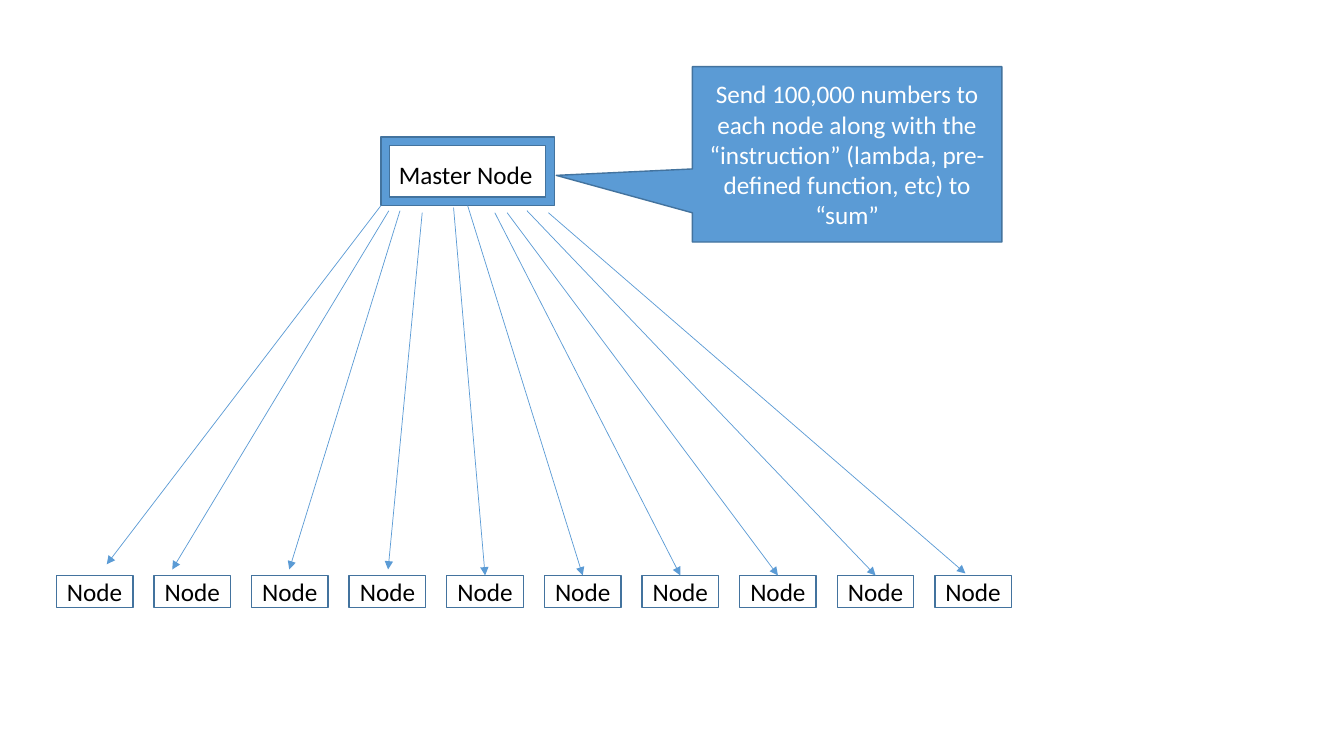
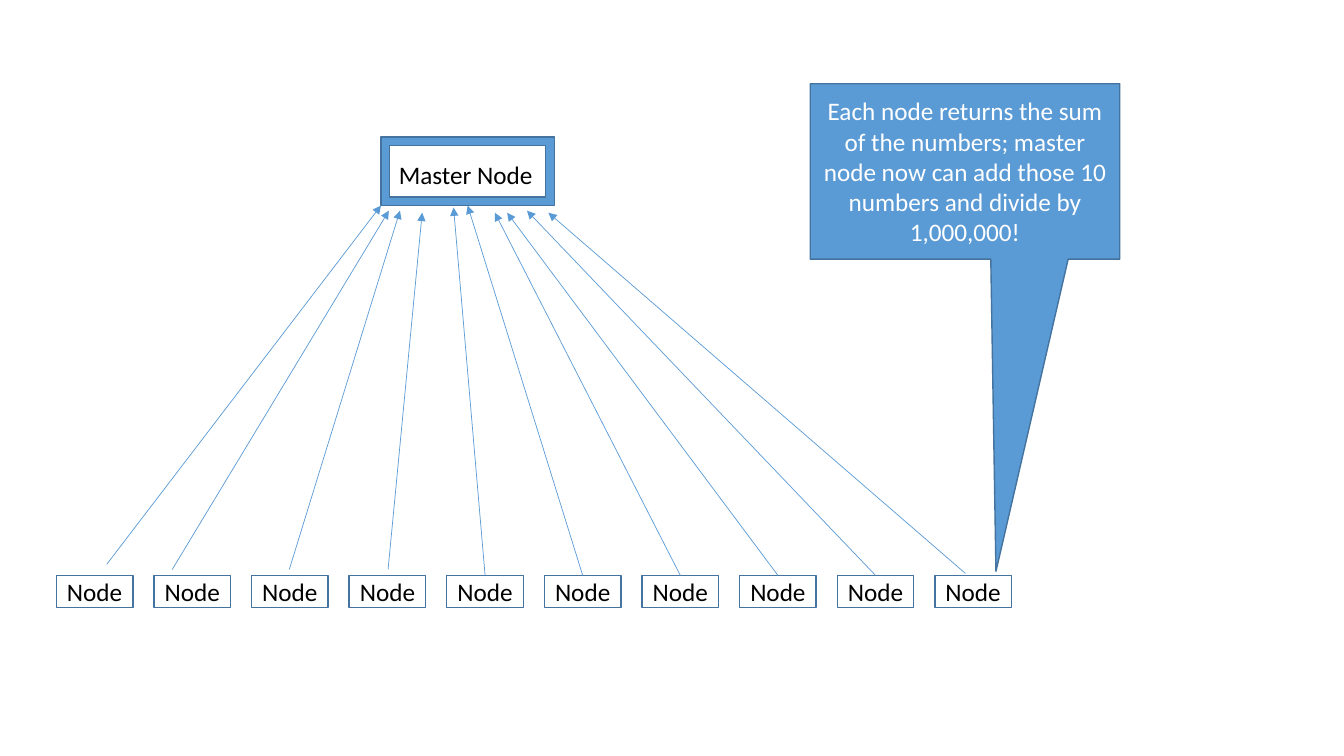
"""Build two slides showing a master node exchanging work and results with ten nodes."""

import dataclasses
import typing

import lxml.etree
import pptx
import pptx.dml.color
import pptx.enum.shapes
import pptx.enum.text
import pptx.oxml.ns
import pptx.util

Cm = pptx.util.Cm
Shapes = pptx.enum.shapes.MSO_SHAPE
Align = pptx.enum.text.PP_ALIGN

BLUE = pptx.dml.color.RGBColor(0x5B, 0x9B, 0xD5)
OUTLINE = pptx.dml.color.RGBColor(0x43, 0x73, 0x9E)
WHITE = pptx.dml.color.RGBColor(0xFF, 0xFF, 0xFF)
BLACK = pptx.dml.color.RGBColor(0x00, 0x00, 0x00)

FONT_FORMAT = {"name": "Calibri", "size": pptx.util.Pt(18)}
LABEL_FORMAT = {"word_wrap": False, "auto_size": pptx.enum.text.MSO_AUTO_SIZE.SHAPE_TO_FIT_TEXT}

NODE_COUNT = 10
NODE_LEFT, NODE_TOP, NODE_PITCH = 1.42, 14.5, 2.46
NODE_WIDTH, NODE_HEIGHT = 1.93, 0.81


@dataclasses.dataclass(frozen=True)
class Area:
    """A rectangle on the page, in centimetres."""

    left: float
    top: float
    width: float
    height: float

    def lengths(self) -> list[pptx.util.Length]:
        """Return the four values as slide lengths."""
        return [Cm(value) for value in dataclasses.astuple(self)]


@dataclasses.dataclass(frozen=True)
class Link:
    """A line from master to node; a missing end is joined to the box."""

    start: typing.Optional[tuple[float, float]]
    end: typing.Optional[tuple[float, float]] = None


@dataclasses.dataclass(frozen=True)
class Step:
    """One slide: its callout and the end of the lines that has an arrowhead."""

    text: str
    left: float
    top: float
    pointer: tuple[float, float]
    arrow_end: str


MASTER_AREA = Area(9.6, 3.45, 4.37, 1.73)
LABEL_AREA = Area(9.8, 3.89, 3.91, 1.02)
LINKS = (
    Link((9.6, 5.18), (2.69, 14.22)),
    Link((9.8, 5.31), (4.34, 14.35)),
    Link((10.08, 5.31), (7.29, 14.35)),
    Link((10.64, 5.36), (9.78, 14.35)),
    Link((11.43, 5.23)),
    Link(None),
    Link((12.47, 5.36)),
    Link((12.78, 5.36)),
    Link((13.28, 5.31)),
    Link((13.82, 5.36), (24.33, 14.45)),
)
STEPS = (
    Step(
        "Send 100,000 numbers to each node along with the “instruction” "
        "(lambda, pre-defined function, etc) to “sum”",
        17.45, 1.68, (-0.94, 0.12), "tailEnd",
    ),
    Step(
        "Each node returns the sum of the numbers; master node now can add "
        "those 10 numbers and divide by 1,000,000!",
        20.42, 2.11, (0.1, 2.28), "headEnd",
    ),
)


def apply_format(target: typing.Any, values: dict[str, typing.Any]) -> None:
    """Set each named attribute on the target."""
    for name, value in values.items():
        setattr(target, name, value)


def write_text(box: typing.Any, text: str, colour: typing.Any, alignment: typing.Any) -> None:
    """Put one formatted paragraph into a box."""
    para = box.text_frame.paragraphs[0]
    para.alignment = alignment
    span = para.add_run()
    span.text = text
    apply_format(span.font, FONT_FORMAT)
    span.font.color.rgb = colour


def add_box(page: typing.Any, kind: typing.Any, area: Area, fill: typing.Any,
            text: str = "", colour: typing.Any = BLACK) -> typing.Any:
    """Draw an outlined shape with optional centred text."""
    box = page.shapes.add_shape(kind, *area.lengths())
    box.shadow.inherit = False
    box.fill.solid()
    box.fill.fore_color.rgb = fill
    box.line.color.rgb = OUTLINE
    box.line.width = pptx.util.Pt(1)
    if text:
        box.text_frame.vertical_anchor = pptx.enum.text.MSO_ANCHOR.MIDDLE
        write_text(box, text, colour, Align.CENTER)
    return box


def add_master(page: typing.Any) -> typing.Any:
    """Draw the framed master node and its label."""
    master = add_box(page, Shapes.FRAME, MASTER_AREA, BLUE)
    label = page.shapes.add_textbox(*LABEL_AREA.lengths())
    apply_format(label.text_frame, LABEL_FORMAT)
    write_text(label, "Master Node", BLACK, Align.LEFT)
    return master


def add_nodes(page: typing.Any) -> list[typing.Any]:
    """Draw the evenly spaced row of nodes."""
    areas = (Area(NODE_LEFT + index * NODE_PITCH, NODE_TOP, NODE_WIDTH, NODE_HEIGHT)
             for index in range(NODE_COUNT))
    return [add_box(page, Shapes.RECTANGLE, area, WHITE, "Node") for area in areas]


def add_link(page: typing.Any, link: Link, master: typing.Any, node: typing.Any,
             arrow_end: str) -> None:
    """Draw a thin arrow between the master and a node."""
    points = (link.start or (0, 0)) + (link.end or (0, 0))
    connector = page.shapes.add_connector(
        pptx.enum.shapes.MSO_CONNECTOR.STRAIGHT, *(Cm(value) for value in points))
    if link.start is None:
        connector.begin_connect(master, 2)
    if link.end is None:
        connector.end_connect(node, 0)
    connector.line.color.rgb = BLUE
    connector.line.width = pptx.util.Pt(0.5)
    qualified = pptx.oxml.ns.qn
    properties = connector.element.spPr
    outline = properties.find(qualified("a:ln"))
    lxml.etree.SubElement(outline, qualified(f"a:{arrow_end}"), type="triangle")
    lxml.etree.SubElement(properties, qualified("a:effectLst"))


def add_step(deck: typing.Any, step: Step) -> None:
    """Add one slide of the exchange."""
    page = deck.slides.add_slide(deck.slide_layouts.get_by_name("Blank"))
    master = add_master(page)
    for link, node in zip(LINKS, add_nodes(page)):
        add_link(page, link, master, node, step.arrow_end)
    callout = add_box(page, Shapes.RECTANGULAR_CALLOUT, Area(step.left, step.top, 7.8, 4.42),
                      BLUE, step.text, WHITE)
    for index, value in enumerate(step.pointer):
        callout.adjustments[index] = value


def main() -> None:
    """Build and save the deck."""
    deck = pptx.Presentation()
    apply_format(deck, {"slide_width": Cm(33.87), "slide_height": Cm(19.05)})
    for step in STEPS:
        add_step(deck, step)
    deck.save("out.pptx")


if __name__ == "__main__":
    main()
